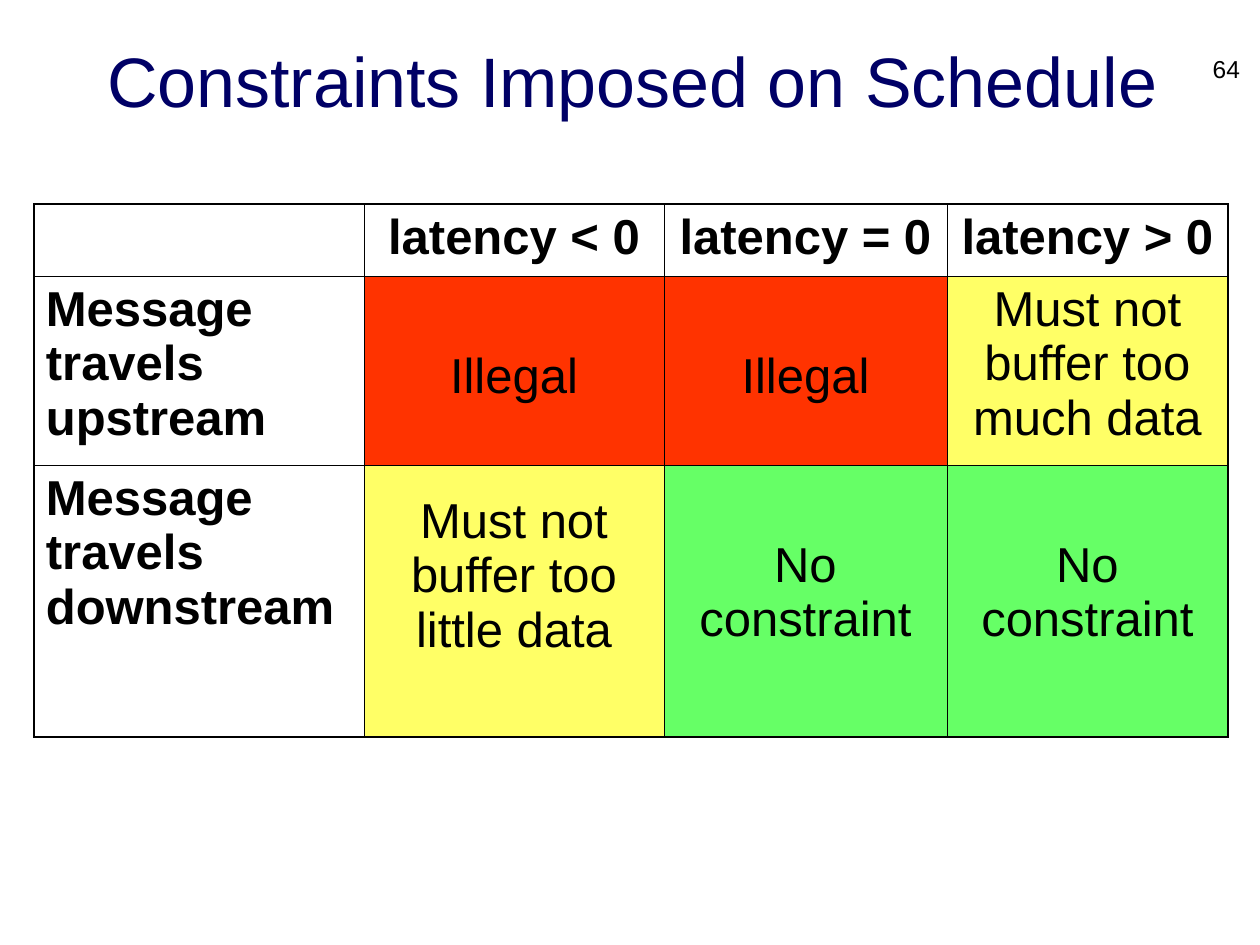
from dataclasses import dataclass

from lxml import etree
from pptx import Presentation
from pptx.dml.color import RGBColor
from pptx.enum.text import MSO_ANCHOR, PP_ALIGN
from pptx.oxml.ns import qn
from pptx.util import Emu, Pt

LEFT, MID, RIGHT = PP_ALIGN.LEFT, PP_ALIGN.CENTER, PP_ALIGN.RIGHT
TOP, CENTRE = MSO_ANCHOR.TOP, MSO_ANCHOR.MIDDLE


@dataclass(frozen=True)
class Theme:
    font: str = "Arial"
    ink: str = "000000"
    navy: str = "000066"
    white: str = "FFFFFF"
    red: str = "FF3300"
    yellow: str = "FFFF66"
    green: str = "66FF66"
    title: int = 40
    body: int = 28
    small: int = 14
    thin: float = 0.45
    thick: float = 1.08


THEME = Theme()
PAD_X, PAD_Y = 12, 6
COLS = [330, 300, 283, 281]
ROWS = [72, 189, 272]

# Each cell: text, fill, drop of the text below the usual top inset
GRID = [
    [("", THEME.white, 0), ("latency < 0", THEME.white, 0),
     ("latency = 0", THEME.white, 0), ("latency > 0", THEME.white, 0)],
    [("Message travels upstream", THEME.white, 0), ("Illegal", THEME.red, 67),
     ("Illegal", THEME.red, 67), ("Must not buffer too much data", THEME.yellow, 0)],
    [("Message travels downstream", THEME.white, 0),
     ("Must not buffer too little data", THEME.yellow, 23),
     ("No constraint", THEME.green, 67), ("No constraint", THEME.green, 67)],
]


def px(n):
    return Emu(round(n * 914400 / 126))


def put_text(frame, text, size=THEME.body, color=THEME.ink, bold=False, align=MID):
    frame.word_wrap = True
    para = frame.paragraphs[0]
    para.alignment = align
    font = para.font
    if text:
        run = para.add_run()
        run.text = text
        font = run.font
    font.name, font.size, font.bold = THEME.font, Pt(size), bold
    font.color.rgb = RGBColor.from_string(color)


def add_label(slide, text, x, y, w, h, anchor=TOP, **style):
    frame = slide.shapes.add_textbox(px(x), px(y), px(w), px(h)).text_frame
    frame.margin_left = frame.margin_right = px(PAD_X)
    frame.margin_top = frame.margin_bottom = px(PAD_Y)
    frame.vertical_anchor = anchor
    put_text(frame, text, **style)


def set_edges(cell, **widths):
    # Borders go before the fill in the cell properties
    props = cell._tc.get_or_add_tcPr()
    for spot, (side, width) in enumerate(widths.items()):
        line = etree.Element(qn(f"a:ln{side}"), w=str(Pt(width)))
        fill = etree.SubElement(line, qn("a:solidFill"))
        etree.SubElement(fill, qn("a:srgbClr"), val=THEME.ink)
        props.insert(spot, line)


def add_grid(slide, x, y):
    frame = slide.shapes.add_table(len(ROWS), len(COLS), px(x), px(y),
                                   px(sum(COLS)), px(sum(ROWS)))
    table = frame.table
    table.first_row = table.horz_banding = False
    for col, width in zip(table.columns, COLS):
        col.width = px(width)
    for row, height in zip(table.rows, ROWS):
        row.height = px(height)

    for r, row in enumerate(GRID):
        for c, (text, fill, drop) in enumerate(row):
            cell = table.cell(r, c)
            cell.margin_left = cell.margin_right = px(PAD_X)
            cell.margin_top, cell.margin_bottom = px(PAD_Y + drop), px(PAD_Y)
            cell.fill.solid()
            cell.fill.fore_color.rgb = RGBColor.from_string(fill)
            put_text(cell.text_frame, text, bold=r == 0 or c == 0,
                     align=LEFT if c == 0 else MID)
            # Outer edges are thick, inner ones thin
            outer = {"L": c == 0, "R": c == len(COLS) - 1,
                     "T": r == 0, "B": r == len(ROWS) - 1}
            set_edges(cell, **{side: THEME.thick if out else THEME.thin
                               for side, out in outer.items()})


def main():
    deck = Presentation()
    deck.slide_width, deck.slide_height = px(1260), px(945)
    slide = deck.slides.add_slide(deck.slide_layouts[6])

    # Title
    add_label(slide, "Constraints Imposed on Schedule", 36, 24, 1192, 111,
              anchor=CENTRE, size=THEME.title, color=THEME.navy)
    # Latency table
    add_grid(slide, 34, 204)
    # Page number
    add_label(slide, "64", 1192, 48, 60, 38, size=THEME.small, align=RIGHT)

    deck.save("out.pptx")


if __name__ == "__main__":
    main()
